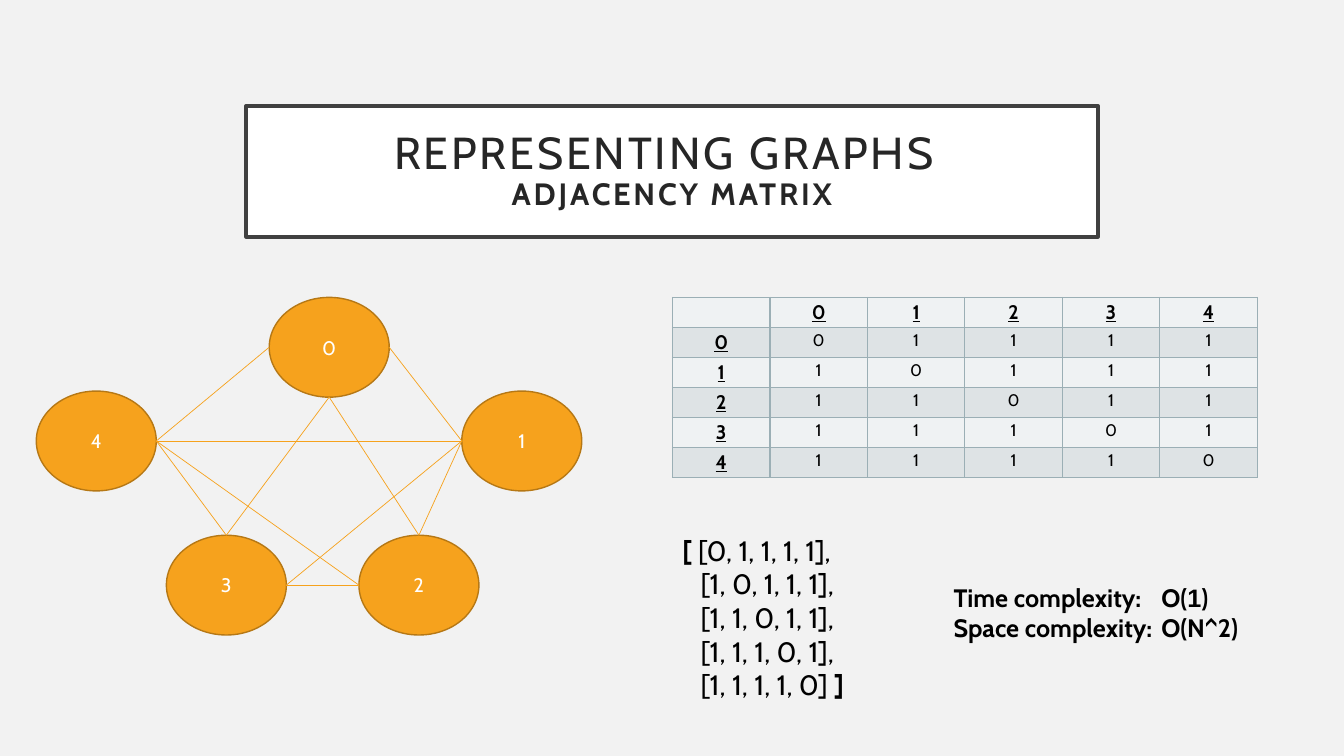
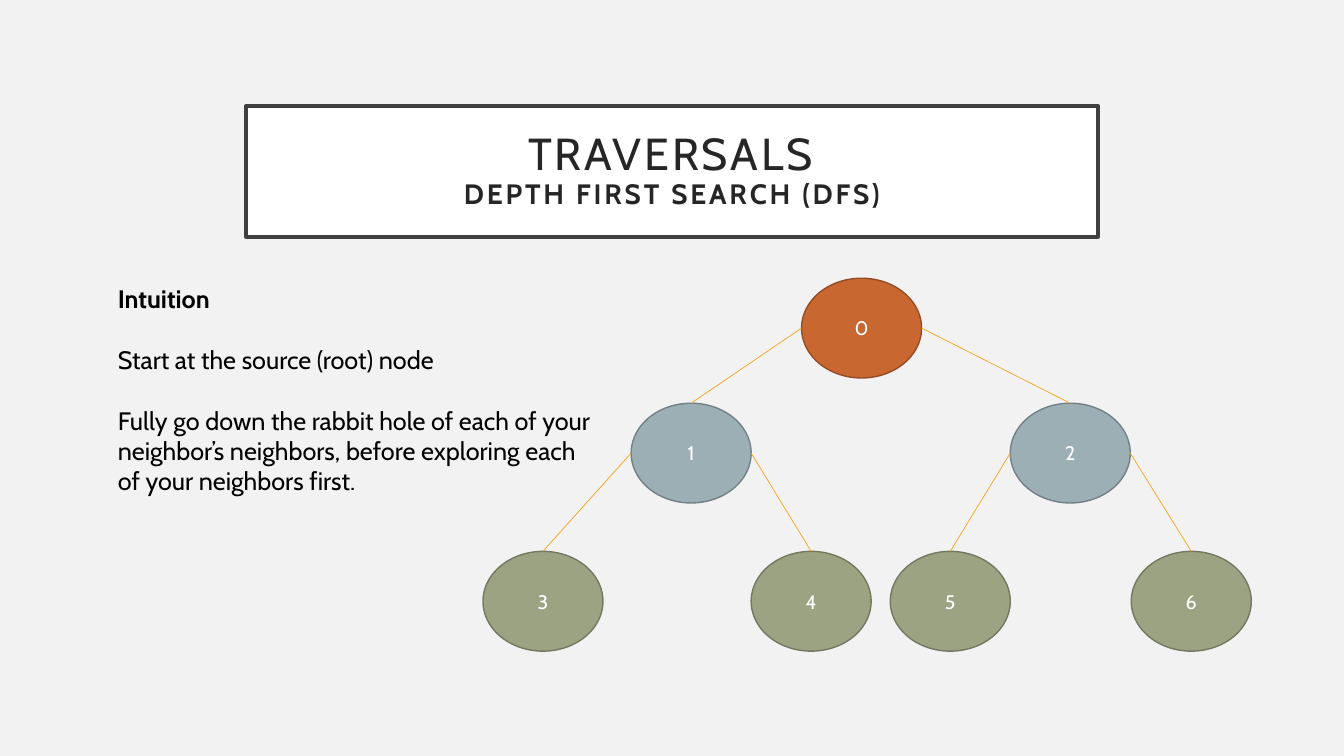
from dataclasses import dataclass

from lxml import etree
from pptx import Presentation
from pptx import util as u
from pptx.dml.color import RGBColor
from pptx.enum import shapes, text
from pptx.oxml import ns


@dataclass(frozen=True)
class Theme:
    face: str = "Cabin"
    background: str = "F2F2F2"
    white: str = "FFFFFF"
    black: str = "000000"
    title_text: str = "262626"
    title_frame: str = "404040"
    edge: str = "F6A21D"
    grid: str = "9BAFB5"
    bands: tuple = ("EFF2F3", "DEE3E5")
    orange: tuple = ("F6A21D", "B67815")
    rust: tuple = ("C96731", "954C24")
    slate: tuple = ("9BAFB5", "738186")
    sage: tuple = ("9CA383", "737961")
    title_size: int = 32
    matrix_size: int = 20
    body_size: int = 18
    label_size: int = 14
    value_size: int = 12


@dataclass(frozen=True)
class Run:
    text: str
    bold: bool = False
    face: str | None = None


THEME = Theme()
NODE_WIDTH, NODE_HEIGHT = 1.19, 0.99
SIDES = {"top": (0.5, 0), "left": (0, 0.5), "bottom": (0.5, 1), "right": (1, 0.5)}


def rgb(value):
    return RGBColor.from_string(value)


def place(*lengths):
    return [u.Inches(length) for length in lengths]


class Deck:
    def __init__(self, theme):
        self.theme = theme
        self.presentation = Presentation()
        self.presentation.slide_width = u.Inches(13.33)
        self.presentation.slide_height = u.Inches(7.5)
        self.paint(self.presentation.slide_master.background.fill, theme.background)
        self.slide = None

    def paint(self, fill, color):
        fill.solid()
        fill.fore_color.rgb = rgb(color)

    def outline(self, line, color, width):
        self.paint(line.fill, color)
        line.width = u.Pt(width)

    def style(self, paragraph, size, color, centred=False):
        paragraph.font.name = self.theme.face
        paragraph.font.size = u.Pt(size)
        paragraph.font.color.rgb = rgb(color)
        if centred:
            paragraph.alignment = text.PP_ALIGN.CENTER

    def add_slide(self, heading, subheading, subheading_size):
        theme = self.theme
        self.slide = self.presentation.slides.add_slide(self.presentation.slide_layouts[5])
        title = self.slide.shapes.title
        title.left, title.top, title.width, title.height = place(2.44, 1.05, 8.45, 1.3)
        self.paint(title.fill, theme.white)
        self.outline(title.line, theme.title_frame, 2.5)
        frame = title.text_frame
        frame.auto_size = text.MSO_AUTO_SIZE.NONE
        frame.word_wrap = True
        frame.vertical_anchor = text.MSO_ANCHOR.MIDDLE
        frame.margin_left = frame.margin_right = u.Inches(0.2)
        frame.margin_top = frame.margin_bottom = u.Inches(0.2)
        paragraph = frame.paragraphs[0]
        self.style(paragraph, theme.title_size, theme.title_text, centred=True)
        paragraph.line_spacing = 0.9
        main = paragraph.add_run()
        main.text = heading
        main.font.size = u.Pt(theme.title_size)
        paragraph.add_line_break()
        detail = paragraph.add_run()
        detail.text = subheading
        detail.font.size = u.Pt(subheading_size)
        detail.font.bold = True
        for properties in title.element.iter(ns.qn("a:rPr")):
            properties.set("spc", "200")

    def add_node(self, label, left, top, colors):
        node = self.slide.shapes.add_shape(
            shapes.MSO_SHAPE.OVAL, *place(left, top, NODE_WIDTH, NODE_HEIGHT))
        node.shadow.inherit = False
        fill, line = colors
        self.paint(node.fill, fill)
        self.outline(node.line, line, 1)
        node.text_frame.vertical_anchor = text.MSO_ANCHOR.MIDDLE
        paragraph = node.text_frame.paragraphs[0]
        paragraph.text = str(label)
        self.style(paragraph, self.theme.label_size, self.theme.white, centred=True)
        return node

    def add_edge(self, start, start_side, end, end_side):
        points = []
        for node, side in ((start, start_side), (end, end_side)):
            across, down = SIDES[side]
            points += [int(node.left + across * node.width), int(node.top + down * node.height)]
        edge = self.slide.shapes.add_connector(shapes.MSO_CONNECTOR.STRAIGHT, *points)
        self.outline(edge.line, self.theme.edge, 0.5)
        etree.SubElement(edge.element.spPr, ns.qn("a:effectLst"))

    def add_graph(self, nodes, edges):
        ovals = {label: self.add_node(label, *node) for label, node in nodes.items()}
        for start, start_side, end, end_side in edges:
            self.add_edge(ovals[start], start_side, ovals[end], end_side)

    def add_text(self, bounds, lines, size, gap=0, hanging=0, tab=0):
        box = self.slide.shapes.add_textbox(*place(*bounds))
        frame = box.text_frame
        frame.word_wrap = True
        frame.auto_size = text.MSO_AUTO_SIZE.SHAPE_TO_FIT_TEXT
        for index, runs in enumerate(lines):
            paragraph = frame.add_paragraph() if index else frame.paragraphs[0]
            self.style(paragraph, size, self.theme.black)
            paragraph_properties = paragraph.font._element.getparent()
            if index and gap:
                paragraph.space_before = u.Pt(gap)
            if index and hanging:
                paragraph_properties.set("marL", str(u.Inches(hanging)))
            if tab:
                stops = etree.Element(ns.qn("a:tabLst"))
                etree.SubElement(stops, ns.qn("a:tab"), pos=str(u.Inches(tab)), algn="l")
                paragraph_properties.insert(0, stops)
            for item in runs:
                run = paragraph.add_run()
                run.text = item.text
                run.font.bold = item.bold
                if item.face:
                    run.font.name = item.face

    def add_matrix_table(self, bounds, matrix):
        theme = self.theme
        labels = [str(index) for index in range(len(matrix))]
        rows = [["", *labels]] + [[label, *values] for label, values in zip(labels, matrix)]
        count = len(rows)
        table = self.slide.shapes.add_table(count, count, *place(*bounds)).table
        table.first_row = table.horz_banding = False
        for row_index, values in enumerate(rows):
            for column_index, value in enumerate(values):
                is_label = row_index == 0 or column_index == 0
                cell = table.cell(row_index, column_index)
                cell.margin_left = cell.margin_right = u.Inches(0.07)
                cell.margin_top = cell.margin_bottom = u.Inches(0.03)
                paragraph = cell.text_frame.paragraphs[0]
                if value != "":
                    paragraph.text = str(value)
                size = theme.label_size if is_label else theme.value_size
                self.style(paragraph, size, theme.black, centred=True)
                paragraph.font.bold = paragraph.font.underline = is_label
                self.add_borders(cell)
                self.paint(cell.fill, theme.bands[row_index % 2])

    def add_borders(self, cell):
        properties = cell._tc.get_or_add_tcPr()
        for side in "LRTB":
            border = etree.SubElement(properties, ns.qn(f"a:ln{side}"), w=str(u.Pt(1)))
            fill = etree.SubElement(border, ns.qn("a:solidFill"))
            etree.SubElement(fill, ns.qn("a:srgbClr"), val=self.theme.grid)


def build_adjacency_slide(deck):
    theme = deck.theme
    deck.add_slide("REPRESENTING GRAPHS ", "ADJACENCY MATRIX", 22)
    deck.add_graph(
        {
            4: (0.36, 3.88, theme.orange),
            0: (2.67, 2.95, theme.orange),
            3: (1.65, 5.31, theme.orange),
            1: (4.58, 3.88, theme.orange),
            2: (3.56, 5.31, theme.orange),
        },
        [
            (3, "top", 0, "bottom"),
            (4, "right", 0, "left"),
            (3, "right", 2, "left"),
            (0, "bottom", 2, "top"),
            (0, "right", 1, "left"),
            (2, "top", 1, "left"),
            (3, "right", 1, "left"),
            (1, "left", 4, "right"),
            (4, "right", 3, "top"),
            (2, "left", 4, "right"),
        ],
    )
    matrix = [[int(row != column) for column in range(5)] for row in range(5)]
    lines = [[Run(f"{row},")] for row in matrix]
    lines[0] = [Run("[", bold=True), Run(f" {matrix[0]},")]
    lines[-1] = [Run(f"{matrix[-1]} "), Run("]", bold=True)]
    deck.add_text((6.67, 5.24, 2.09, 2.12), lines, theme.matrix_size, hanging=0.18)
    deck.add_matrix_table((6.67, 2.95, 5.8, 1.79), matrix)
    deck.add_text(
        (9.36, 5.73, 3.44, 0.71),
        [
            [Run("Time complexity:\tO(", True), Run("1", True, "Arial"), Run(")", True)],
            [Run("Space complexity:\tO(N^2)", True)],
        ],
        theme.body_size,
        tab=2.06,
    )


def build_traversal_slide(deck):
    theme = deck.theme
    deck.add_slide("TRAVERSALS", "DEPTH FIRST SEARCH (DFS)", 20)
    deck.add_text(
        (1.07, 2.76, 5.01, 2.22),
        [
            [Run("Intuition", bold=True)],
            [Run("Start at the source (root) node")],
            [Run("Fully go down the rabbit hole of each of your neighbor’s neighbors, "
                 "before exploring each of your neighbors first.")],
        ],
        theme.body_size,
        gap=22,
    )
    deck.add_graph(
        {
            1: (6.26, 4, theme.slate),
            0: (7.95, 2.76, theme.rust),
            3: (4.79, 5.47, theme.sage),
            2: (10.02, 4, theme.slate),
            4: (7.45, 5.47, theme.sage),
            6: (11.22, 5.47, theme.sage),
            5: (8.83, 5.47, theme.sage),
        },
        [(parent, side, 2 * parent + step, "top")
         for parent in range(3)
         for step, side in ((1, "left"), (2, "right"))],
    )


def main():
    deck = Deck(THEME)
    build_adjacency_slide(deck)
    build_traversal_slide(deck)
    deck.presentation.save("out.pptx")


if __name__ == "__main__":
    main()
